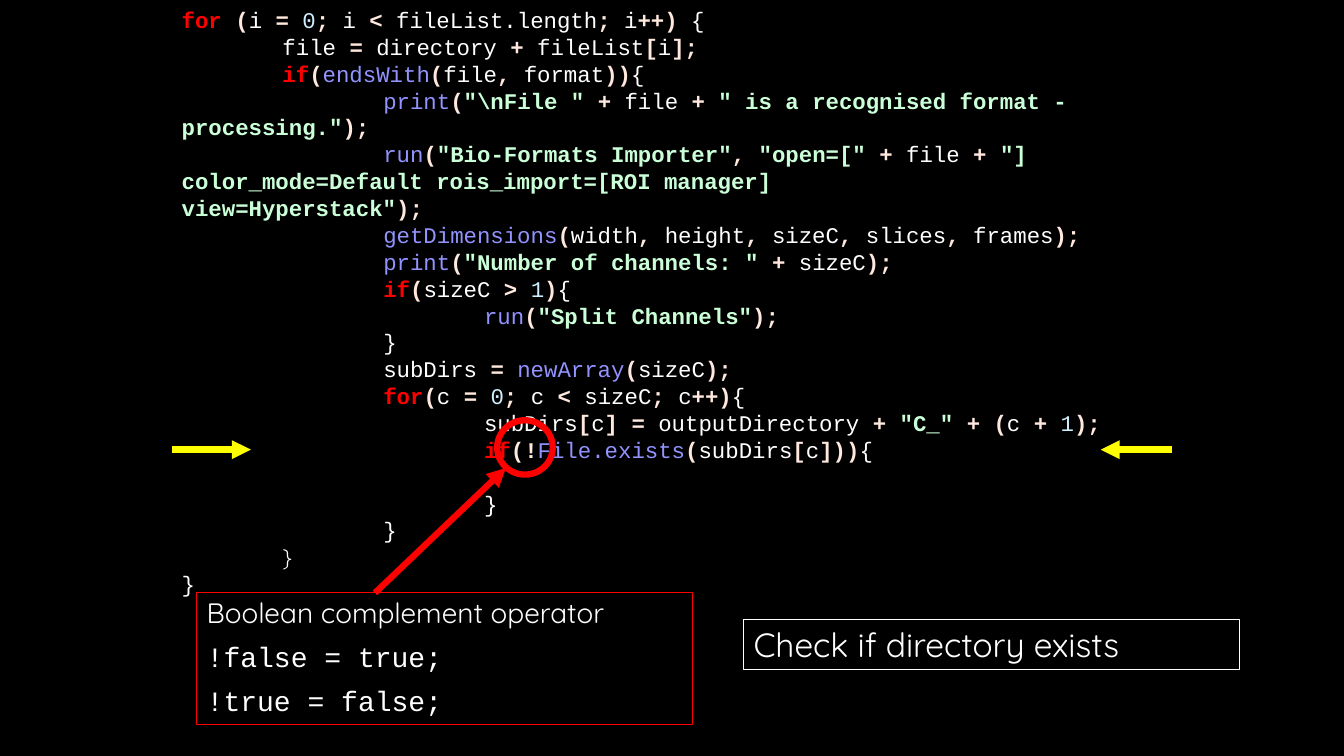
from itertools import groupby

from lxml.etree import SubElement
from pptx import Presentation
from pptx.dml.color import RGBColor
from pptx.enum.shapes import MSO_CONNECTOR as Connector, MSO_SHAPE as Preset
from pptx.enum.text import MSO_ANCHOR as Anchor, PP_ALIGN as Align
from pptx.oxml.ns import qn
from pptx.util import Cm, Pt

BLACK = RGBColor(0x00, 0x00, 0x00)
WHITE = RGBColor(0xFF, 0xFF, 0xFF)
RED = RGBColor(0xFF, 0x00, 0x00)
YELLOW = RGBColor(0xFF, 0xFF, 0x00)
CREAM = RGBColor(0xFF, 0xE8, 0xDD)
PALE_BLUE = RGBColor(0xCE, 0xEF, 0xFF)
VIOLET = RGBColor(0x93, 0x93, 0xFF)
MINT = RGBColor(0xCA, 0xFF, 0xD8)

CODE_FONT = "Courier New"
TEXT_FONT = "Quicksand"
TAB_WIDTH = Cm(2.54)

KEYWORDS = {"for", "if"}
FUNCTIONS = {"endsWith", "print", "run", "getDimensions", "newArray", "File.exists"}
OPERATORS = "()[]=+<>;,!"
TOKEN_STYLES = {
    "keyword": (RED, True),
    "operator": (CREAM, True),
    "string": (MINT, True),
    "function": (VIOLET, False),
    "number": (PALE_BLUE, False),
    "plain": (WHITE, False),
}

CODE_LINES = [
    (0, 'for (i = 0; i < fileList.length; i++) {'),
    (1, 'file = directory + fileList[i];'),
    (1, 'if(endsWith(file, format)){'),
    (2, 'print("\\nFile " + file + " is a recognised format - \nprocessing.");'),
    (2, 'run("Bio-Formats Importer", "open=[" + file + "] \n'
        'color_mode=Default rois_import=[ROI manager] \nview=Hyperstack");'),
    (2, 'getDimensions(width, height, sizeC, slices, frames);'),
    (2, 'print("Number of channels: " + sizeC);'),
    (2, 'if(sizeC > 1){'),
    (3, 'run("Split Channels");'),
    (2, '}'),
    (2, 'subDirs = newArray(sizeC);'),
    (2, 'for(c = 0; c < sizeC; c++){'),
    (3, 'subDirs[c] = outputDirectory + "C_" + (c + 1);'),
    (3, 'if(!File.exists(subDirs[c])){'),
    (3, '}', {"space_before": Pt(19.2)}),
    (2, '}'),
    (1, '}', {}, TEXT_FONT),
    (0, '}'),
]


def apply_format(target, values):
    for name, value in values.items():
        setattr(target, name, value)


def character_kind(character):
    if character in OPERATORS:
        return "operator"
    return "word" if character.isalnum() or character in "_." else "plain"


def word_kind(word):
    if word in KEYWORDS:
        return "keyword"
    if word in FUNCTIONS:
        return "function"
    return "number" if word.isdigit() else "plain"


def tokenize(code):
    for index, part in enumerate(code.split('"')):
        if index % 2:
            yield "string", f'"{part}"'
            continue
        for kind, characters in groupby(part, character_kind):
            text = "".join(characters)
            yield (word_kind(text) if kind == "word" else kind), text


def add_run(paragraph, text, size, font_name, color, bold=False):
    run = paragraph.add_run()
    run.text = text
    apply_format(run.font, {"size": Pt(size), "name": font_name, "bold": bold})
    run.font.color.rgb = color


def next_paragraph(frame, index):
    return frame.add_paragraph() if index else frame.paragraphs[0]


def add_indent(paragraph, level, font_name):
    tab_list = SubElement(paragraph._p.get_or_add_pPr(), qn("a:tabLst"))
    for stop in range(1, level + 1):
        SubElement(tab_list, qn("a:tab"), pos=str(stop * TAB_WIDTH), algn="l")
    add_run(paragraph, "\t" * level, 16, font_name, WHITE)


def add_code_line(paragraph, level, code, spacing=None, font_name=CODE_FONT):
    apply_format(paragraph, spacing or {})
    if level:
        add_indent(paragraph, level, font_name)
    for kind, text in tokenize(code):
        for index, piece in enumerate(text.split("\n")):
            if index:
                paragraph.add_line_break()
            add_run(paragraph, piece, 16, font_name, *TOKEN_STYLES[kind])


def add_code(slide, left, top, width, height):
    frame = slide.shapes.add_textbox(Cm(left), Cm(top), Cm(width), Cm(height)).text_frame
    frame.word_wrap = True
    for index, line in enumerate(CODE_LINES):
        add_code_line(next_paragraph(frame, index), *line)


def add_outline(slide, preset, left, top, width, height, color, weight):
    shape = slide.shapes.add_shape(preset, Cm(left), Cm(top), Cm(width), Cm(height))
    shape.shadow.inherit = False
    shape.fill.background()
    shape.line.color.rgb = color
    shape.line.width = Pt(weight)
    return shape


def add_note(slide, left, top, width, height, color, lines, spacing):
    shape = add_outline(slide, Preset.RECTANGLE, left, top, width, height, color, 0.75)
    frame = shape.text_frame
    apply_format(frame, {"word_wrap": True, "vertical_anchor": Anchor.MIDDLE})
    for index, (text, size, font_name) in enumerate(lines):
        paragraph = next_paragraph(frame, index)
        apply_format(paragraph, {"alignment": Align.LEFT, **(spacing if index else {})})
        paragraph.line_spacing = spacing.get("line_spacing")
        add_run(paragraph, text, size, font_name, WHITE)


def add_arrow(slide, start_x, start_y, end_x, end_y, color):
    arrow = slide.shapes.add_connector(
        Connector.STRAIGHT, Cm(start_x), Cm(start_y), Cm(end_x), Cm(end_y))
    arrow.line.color.rgb = color
    arrow.line.width = Pt(4.5)
    SubElement(arrow.line._get_or_add_ln(), qn("a:tailEnd"), type="triangle")
    SubElement(arrow._element.spPr, qn("a:effectLst"))


def main():
    presentation = Presentation()
    apply_format(presentation, {"slide_width": Cm(33.87), "slide_height": Cm(19.05)})
    slide = presentation.slides.add_slide(presentation.slide_layouts[6])
    slide.background.fill.solid()
    slide.background.fill.fore_color.rgb = BLACK

    add_code(slide, 4.33, 0.03, 25.4, 19.02)
    add_note(slide, 18.74, 15.6, 12.5, 1.28, WHITE,
             [("Check if directory exists", 24, TEXT_FONT)], {})
    add_outline(slide, Preset.OVAL, 12.53, 10.59, 1.4, 1.37, RED, 4.5)
    add_arrow(slide, 9.45, 14.94, 12.75, 11.79, RED)
    add_note(slide, 4.96, 14.93, 12.5, 3.33, RED,
             [("Boolean complement operator", 20, TEXT_FONT),
              ("!false = true;", 20, CODE_FONT),
              ("!true = false;", 20, CODE_FONT)],
             {"line_spacing": 0.9, "space_before": Pt(10)})
    for start_x, end_x in ((4.34, 6.32), (29.54, 27.74)):
        add_arrow(slide, start_x, 11.33, end_x, 11.33, YELLOW)

    presentation.save("out.pptx")


if __name__ == "__main__":
    main()
